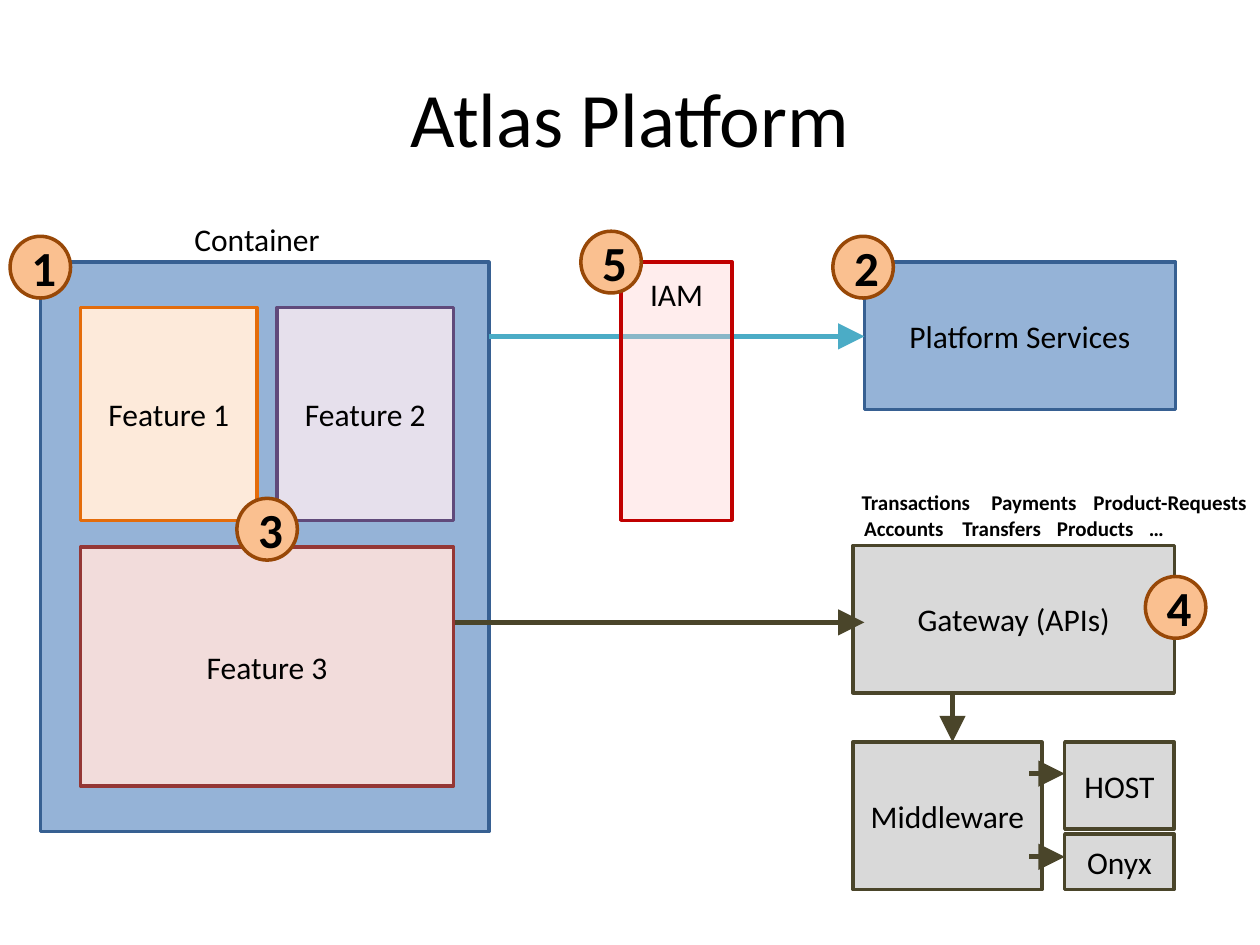
from dataclasses import dataclass

from lxml.etree import SubElement
from pptx import Presentation
from pptx.dml.color import RGBColor
from pptx.enum.shapes import MSO_CONNECTOR as Connector, MSO_SHAPE as Shape
from pptx.enum.text import MSO_ANCHOR as Anchor, PP_ALIGN as Align
from pptx.oxml.ns import qn
from pptx.util import Inches, Pt


@dataclass(frozen=True)
class Theme:
    font: str = "Calibri"
    text: str = "000000"
    title: int = 44
    badge: int = 28
    body: int = 18
    small: int = 12
    outline: int = 2
    arrow: int = 3
    # fill and line colours
    blue: tuple = ("95B3D7", "376092")
    grey: tuple = ("D9D9D9", "4A452A")
    orange: tuple = ("FDEADA", "E46C0A")
    purple: tuple = ("E6E0EC", "604A7B")
    red: tuple = ("F2DCDB", "953735")
    pink: tuple = ("FFCCCC", "C00000")
    marker: tuple = ("FAC090", "984807")
    teal_line: str = "4BACC6"


THEME = Theme()
TITLE = "Atlas Platform"

# Shared grid lines, in inches
TOP = 2.08
CONTAINER_LEFT, CONTAINER_WIDTH = 0.32, 3.56
CONTAINER_RIGHT = CONTAINER_LEFT + CONTAINER_WIDTH
FEATURE_LEFT, FEATURE_WIDTH, FEATURE_GAP = 0.64, 1.4, 0.16
FEATURES_WIDTH = 2 * FEATURE_WIDTH + FEATURE_GAP
FEATURES_RIGHT = FEATURE_LEFT + FEATURES_WIDTH
FEATURE_TOP, FEATURE_HEIGHT = 2.44, 1.69
SERVICE_LEFT, SERVICE_HEIGHT = 6.86, 1.17
BACKEND_LEFT, API_TOP, BACKEND_TOP = 6.77, 4.33, 5.89
HOST_LEFT, HOST_WIDTH = 8.45, 0.87
BADGE_WIDTH, BADGE_HEIGHT = 0.48, 0.49

# text, left, top, width, height, colours
BACK_BOXES = [
    ("", CONTAINER_LEFT, TOP, CONTAINER_WIDTH, 4.52, THEME.blue),
    ("Platform Services", SERVICE_LEFT, TOP, 2.47, SERVICE_HEIGHT, THEME.blue),
    ("Gateway (APIs)", BACKEND_LEFT, API_TOP, 2.55, SERVICE_HEIGHT, THEME.grey),
    ("Middleware", BACKEND_LEFT, BACKEND_TOP, 1.5, SERVICE_HEIGHT, THEME.grey),
    ("HOST", HOST_LEFT, BACKEND_TOP, HOST_WIDTH, 0.69, THEME.grey),
    ("Onyx", HOST_LEFT, 6.62, HOST_WIDTH, 0.44, THEME.grey),
]
FEATURE_BOXES = [
    ("Feature 1", FEATURE_LEFT, FEATURE_TOP, FEATURE_WIDTH, FEATURE_HEIGHT, THEME.orange),
    ("Feature 2", FEATURE_LEFT + FEATURE_WIDTH + FEATURE_GAP, FEATURE_TOP,
     FEATURE_WIDTH, FEATURE_HEIGHT, THEME.purple),
    ("Feature 3", FEATURE_LEFT, 4.34, FEATURES_WIDTH, 1.9, THEME.red),
]
IAM_BOX = ("IAM", 4.93, TOP, 0.88, 2.05, THEME.pink)
IAM_OPACITY = 35

# start, end, colour
ARROWS = [
    ((CONTAINER_RIGHT, 2.67), (SERVICE_LEFT, 2.67), THEME.teal_line),
    ((FEATURES_RIGHT, 4.94), (SERVICE_LEFT, 4.94), THEME.grey[1]),
    ((7.56, API_TOP + SERVICE_HEIGHT), (7.56, BACKEND_TOP), THEME.grey[1]),
    ((8.17, 6.14), (HOST_LEFT, 6.14), THEME.grey[1]),
    ((8.17, 6.8), (HOST_LEFT, 6.8), THEME.grey[1]),
]
# row top: (text, left, width)
API_NAMES = {
    3.84: [("Transactions", 6.74, 1.07), ("Payments", 7.77, 0.88),
           ("Product-Requests", 8.58, 1.42)],
    4.04: [("Accounts", 6.76, 0.83), ("Transfers", 7.54, 0.84),
           ("Products", 8.29, 0.81), ("…", 9.02, 0.32)],
}
# number: centre
BADGES = {
    "1": (0.32, 2.12),
    "2": (6.85, 2.12),
    "3": (2.12, 4.2),
    "4": (9.33, 4.82),
    "5": (4.85, 2.08),
}


def write(shape, text, size=THEME.body, bold=False, align=Align.CENTER,
          anchor=Anchor.MIDDLE, wrap=True):
    frame = shape.text_frame
    frame.word_wrap = wrap
    frame.vertical_anchor = anchor
    paragraph = frame.paragraphs[0]
    paragraph.alignment = align
    run = paragraph.add_run()
    run.text = text
    for name, value in {"name": THEME.font, "size": Pt(size), "bold": bold}.items():
        setattr(run.font, name, value)
    run.font.color.rgb = RGBColor.from_string(THEME.text)


def add_box(slide, text, left, top, width, height, colours, kind=Shape.RECTANGLE, **style):
    shape = slide.shapes.add_shape(kind, *map(Inches, (left, top, width, height)))
    fill, line = map(RGBColor.from_string, colours)
    shape.shadow.inherit = False
    shape.fill.solid()
    shape.fill.fore_color.rgb = fill
    shape.line.color.rgb = line
    shape.line.width = Pt(THEME.outline)
    if text:
        write(shape, text, **style)
    return shape


def add_label(slide, text, left, top, width, height, **style):
    box = slide.shapes.add_textbox(*map(Inches, (left, top, width, height)))
    write(box, text, anchor=Anchor.TOP, **style)


def add_arrow(slide, start, end, colour):
    arrow = slide.shapes.add_connector(Connector.STRAIGHT, *map(Inches, start + end))
    arrow.line.color.rgb = RGBColor.from_string(colour)
    arrow.line.width = Pt(THEME.arrow)
    properties = arrow._element.spPr
    SubElement(properties.find(qn("a:ln")), qn("a:tailEnd"),
               type="triangle", w="lg", len="lg")
    SubElement(properties, qn("a:effectLst"))


def set_opacity(shape, percent):
    colour = shape._element.spPr.find(qn("a:solidFill"))[0]
    SubElement(colour, qn("a:alpha"), val=str(percent * 1000))


def main():
    presentation = Presentation()
    presentation.slide_width, presentation.slide_height = Inches(10), Inches(7.5)
    slide = presentation.slides.add_slide(presentation.slide_layouts[5])

    title = slide.shapes.title
    place = {"left": 0.5, "top": 0.3, "width": 9, "height": 1.25}
    for name, value in place.items():
        setattr(title, name, Inches(value))
    write(title, TITLE, THEME.title)

    for box in BACK_BOXES:
        add_box(slide, *box)
    for arrow in ARROWS:
        add_arrow(slide, *arrow)
    for box in FEATURE_BOXES:
        add_box(slide, *box)
    iam = add_box(slide, *IAM_BOX, anchor=Anchor.TOP)
    iam.text_frame.margin_top = Inches(0.1)
    set_opacity(iam, IAM_OPACITY)

    add_label(slide, "Container", CONTAINER_LEFT, 1.7, 3.44, 0.4)
    for top, names in API_NAMES.items():
        for text, left, width in names:
            add_label(slide, text, left, top, width, 0.3, size=THEME.small,
                      bold=True, align=Align.LEFT, wrap=False)
    for number, (x, y) in BADGES.items():
        add_box(slide, number, x - BADGE_WIDTH / 2, y - BADGE_HEIGHT / 2,
                BADGE_WIDTH, BADGE_HEIGHT, THEME.marker, kind=Shape.OVAL,
                size=THEME.badge, bold=True)

    presentation.save("out.pptx")


if __name__ == "__main__":
    main()
